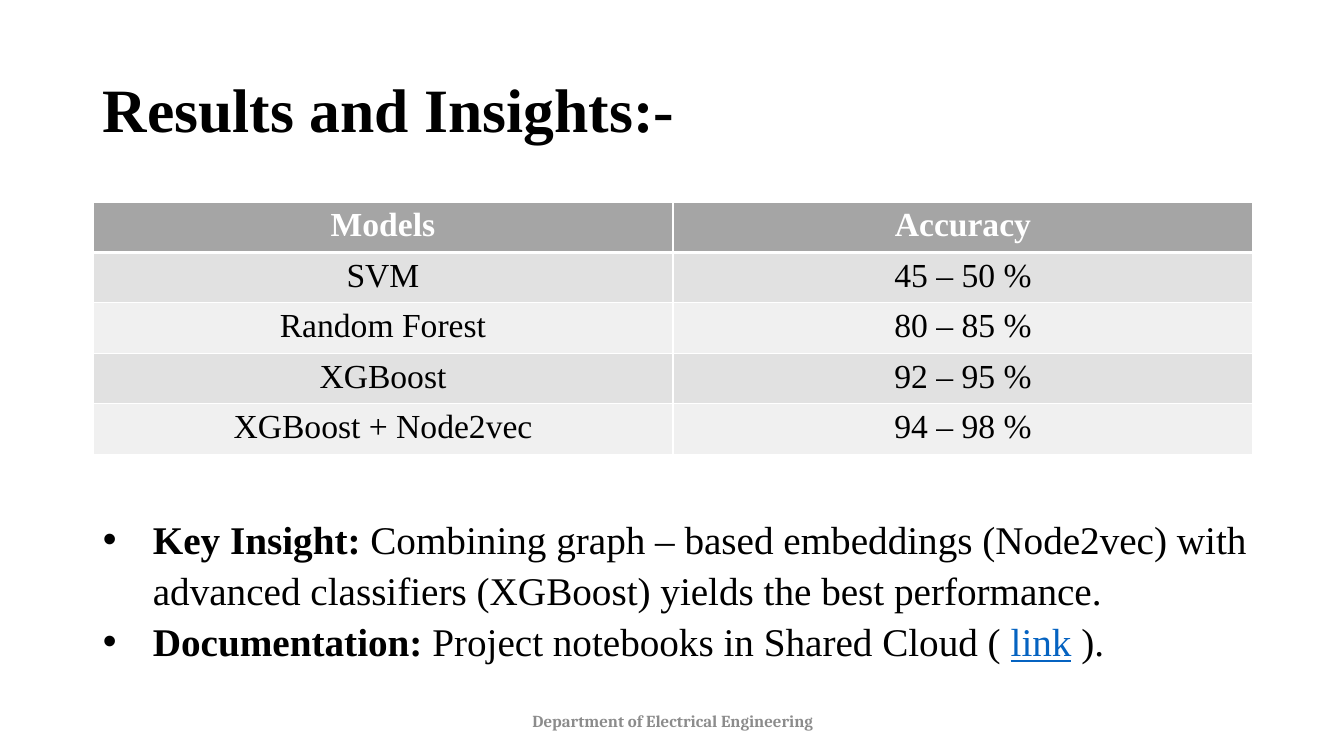
from lxml import etree
from pptx import Presentation
from pptx import util as u
from pptx.dml.color import RGBColor
from pptx.enum import text
from pptx.oxml import ns

# Content
TITLE = "Results and Insights:-"
FOOTER = "Department of Electrical Engineering"
RESULTS = [
    ("Models", "Accuracy"),
    ("SVM", "45 – 50 %"),
    ("Random Forest", "80 – 85 %"),
    ("XGBoost", "92 – 95 %"),
    ("XGBoost + Node2vec", "94 – 98 %"),
]
INSIGHTS = [  # (words, style) runs of each bullet
    [("Key Insight:", "bold"),
     (" Combining graph – based embeddings (Node2vec) with advanced "
      "classifiers (XGBoost) yields the best performance.", "plain")],
    [("Documentation:", "bold"),
     (" Project notebooks in Shared Cloud ( ", "plain"),
     ("link", "link"),
     (" ).", "plain")],
]

# Look
BLACK = RGBColor(0x00, 0x00, 0x00)
WHITE = RGBColor(0xFF, 0xFF, 0xFF)
GRAY = RGBColor(0x8C, 0x8C, 0x8C)
LINK_BLUE = RGBColor(0x05, 0x63, 0xC1)
HEADER_FILL = RGBColor(0xA5, 0xA5, 0xA5)
BAND_FILLS = (RGBColor(0xE1, 0xE1, 0xE1), RGBColor(0xF0, 0xF0, 0xF0))
SERIF = "Times New Roman"

# Layout in px
SLIDE_WIDTH, SLIDE_HEIGHT = 1344, 756
LEFT = 93
TITLE_BOX = (LEFT, 40, 1159, 146)
TABLE_TOP, COLUMN_WIDTH, ROW_HEIGHT = 202, 580, 47
INSIGHT_BOX = (LEFT, 507, 1197, 152)
FOOTER_BOX = (446, 701, 454, 40)
BULLET_INDENT = 50


def px(length):
    return u.Emu(round(length * 914400 / 100.8))


def add_span(para, words, size, color=BLACK, bold=False, font=SERIF):
    span = para.add_run()
    span.text = words
    span.font.name = font
    span.font.size = u.Pt(size)
    span.font.bold = bold
    span.font.color.rgb = color
    return span


def add_box(page, place, anchor):
    frame = page.shapes.add_textbox(*map(px, place)).text_frame
    frame.word_wrap = True
    frame.vertical_anchor = anchor
    return frame


def add_bullet(para):
    properties = para._p.get_or_add_pPr()
    properties.set("marL", str(px(BULLET_INDENT)))
    properties.set("indent", str(-px(BULLET_INDENT)))
    etree.SubElement(properties, ns.qn("a:buFont"), typeface="Arial")
    etree.SubElement(properties, ns.qn("a:buChar"), char="•")


def set_borders(cell, widths):
    properties = cell._tc.get_or_add_tcPr()
    for position, (side, points) in enumerate(widths.items()):
        line = etree.Element(ns.qn("a:" + side), w=str(u.Pt(points)))
        fill = etree.SubElement(line, ns.qn("a:solidFill"))
        etree.SubElement(fill, ns.qn("a:srgbClr"), val=str(WHITE))
        properties.insert(position, line)


def add_results(page):
    rows, columns = len(RESULTS), len(RESULTS[0])
    place = (LEFT, TABLE_TOP, columns * COLUMN_WIDTH, rows * ROW_HEIGHT)
    table = page.shapes.add_table(rows, columns, *map(px, place)).table
    for row, values in enumerate(RESULTS):
        header = row == 0
        for column, value in enumerate(values):
            cell = table.cell(row, column)
            cell.fill.solid()
            cell.fill.fore_color.rgb = HEADER_FILL if header else BAND_FILLS[(row - 1) % 2]
            set_borders(cell, {"lnL": 1, "lnR": 1, "lnT": 3 if row == 1 else 1,
                               "lnB": 3 if header else 1})
            para = cell.text_frame.paragraphs[0]
            para.alignment = text.PP_ALIGN.CENTER
            add_span(para, value, 24, WHITE if header else BLACK, header)


def add_insights(page):
    frame = add_box(page, INSIGHT_BOX, text.MSO_ANCHOR.TOP)
    for number, spans in enumerate(INSIGHTS):
        para = frame.add_paragraph() if number else frame.paragraphs[0]
        para.line_spacing = 1.08
        add_bullet(para)
        for words, style in spans:
            linked = style == "link"
            span = add_span(para, words, 28, LINK_BLUE if linked else BLACK,
                            style == "bold")
            span.font.underline = linked


def main():
    deck = Presentation()
    deck.slide_width, deck.slide_height = px(SLIDE_WIDTH), px(SLIDE_HEIGHT)
    page = deck.slides.add_slide(deck.slide_layouts[6])

    # Title
    para = add_box(page, TITLE_BOX, text.MSO_ANCHOR.MIDDLE).paragraphs[0]
    para.line_spacing = 0.9
    add_span(para, TITLE, 44, bold=True)

    # Table and bullets
    add_results(page)
    add_insights(page)

    # Footer
    para = add_box(page, FOOTER_BOX, text.MSO_ANCHOR.MIDDLE).paragraphs[0]
    para.alignment = text.PP_ALIGN.CENTER
    add_span(para, FOOTER, 12, GRAY, True, "Cambria")

    deck.save("out.pptx")


if __name__ == "__main__":
    main()
